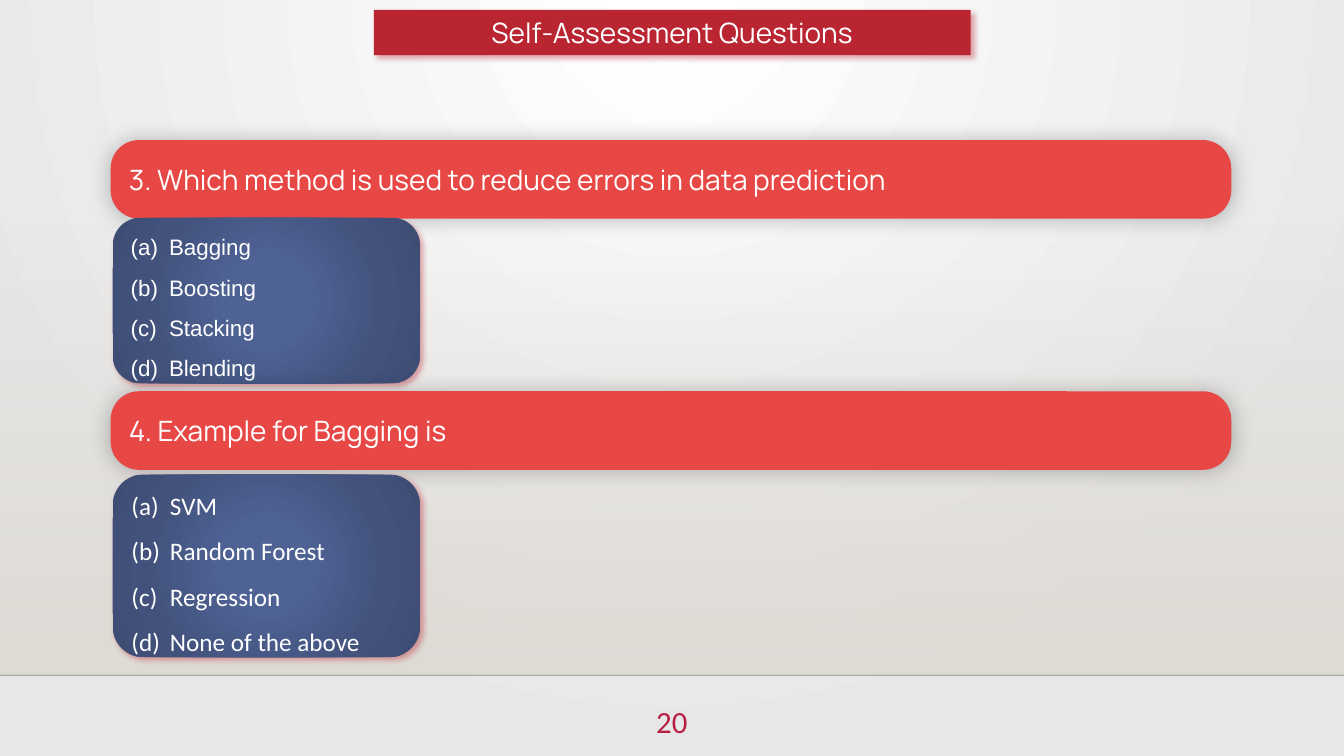
from pptx import Presentation, util as u
from pptx.dml import color
from pptx.enum import shapes, text
from pptx.oxml import parse_xml, ns

NS = ns.nsdecls("a", "p")
CRIMSON, CORAL, WHITE = "BA2532", "E84845", "FFFFFF"
NAVY = [(0, "4E6294", 100), (23, "4E6294", 100), (69, "42527C", 100), (97, "3E4D74", 100)]
MIDDLE = 'l="50000" t="50000" r="50000" b="50000"'
ROUND = shapes.MSO_SHAPE.ROUNDED_RECTANGLE
LEFT, CENTER = text.PP_ALIGN.LEFT, text.PP_ALIGN.CENTER


def rgb(value):
    return color.RGBColor.from_string(value)


def tint(value, alpha):
    return f'<a:srgbClr val="{value}"><a:alpha val="{alpha * 1000}"/></a:srgbClr>'


def blend(stops, focus=None):
    """Gradient XML: circular around focus, or top to bottom without one."""
    marks = "".join(f'<a:gs pos="{at * 1000}">{tint(value, alpha)}</a:gs>'
                    for at, value, alpha in stops)
    way = (f'<a:path path="circle"><a:fillToRect {focus}/></a:path>' if focus
           else '<a:lin ang="5400000" scaled="0"/>')
    return f'<a:gradFill {NS} rotWithShape="1"><a:gsLst>{marks}</a:gsLst>{way}</a:gradFill>'


def place(shape, box):
    shape.left, shape.top, shape.width, shape.height = (u.Cm(n) for n in box)


def paint(shape, fill, focus=None):
    """Fill with a hex colour or with gradient stops, without an outline."""
    shape.line.fill.background()
    if isinstance(fill, str):
        shape.fill.solid()
        shape.fill.fore_color.rgb = rgb(fill)
    else:
        shape.fill.background()
        props = shape.element.spPr
        props.replace(props.find(ns.qn("a:noFill")), parse_xml(blend(fill, focus)))


def shade(shape, value, alpha, blur, dist, angle):
    props = shape.element.spPr
    for old in props.findall(ns.qn("a:effectLst")):
        props.remove(old)
    props.append(parse_xml(
        f'<a:effectLst {NS}><a:outerShdw blurRad="{u.Pt(blur)}" dist="{u.Pt(dist)}" '
        f'dir="{angle * 60000}" algn="ctr" rotWithShape="0">{tint(value, alpha)}'
        '</a:outerShdw></a:effectLst>'))


def write(shape, lines, font, size, value=WHITE, align=LEFT, listed=False):
    frame = shape.text_frame
    frame.word_wrap = True
    frame.auto_size = text.MSO_AUTO_SIZE.NONE
    frame.vertical_anchor = text.MSO_ANCHOR.MIDDLE
    for i, line in enumerate(lines):
        para = frame.add_paragraph() if i else frame.paragraphs[0]
        para.alignment = align
        run = para.add_run()
        run.text = line
        run.font.name, run.font.size = font, u.Pt(size)
        run.font.color.rgb = rgb(value)
        if listed:
            para.line_spacing = 1.5
            props = para._p.get_or_add_pPr()
            props.set("marL", str(u.Cm(0.97)))
            props.set("indent", str(u.Cm(-0.97)))
            props.append(parse_xml(f'<a:buFont {NS} typeface="+mj-lt"/>'))
            props.append(parse_xml(f'<a:buAutoNum {NS} type="alphaLcParenBoth"/>'))


def block(slide, kind, box):
    shape = slide.shapes.add_shape(kind, *(u.Cm(n) for n in box))
    shape.shadow.inherit = False
    return shape


def stage(slide):
    """Background, lower glow and the rule above the footer."""
    focus = 'l="43000" t="0" r="43000" b="100000"'
    fill = blend([(0, WHITE, 100), (100, "E7E7E7", 100)], focus)
    slide.element.cSld.insert(0, parse_xml(
        f'<p:bg {NS}><p:bgPr>{fill}<a:effectLst/></p:bgPr></p:bg>'))
    glow = block(slide, shapes.MSO_SHAPE.RECTANGLE, (0, 5.61, 33.87, 11.41))
    paint(glow, [(0, "DFDBD5", 0), (100, "DFDBD5", 100)])
    rule = slide.shapes.add_connector(shapes.MSO_CONNECTOR.STRAIGHT,
                                      0, u.Cm(17.02), u.Cm(33.87), u.Cm(17.02))
    rule.line.width = u.Pt(1)
    rule.line.color.rgb = rgb("000001")
    hue = rule.element.spPr.find(".//" + ns.qn("a:srgbClr"))
    hue.append(parse_xml(f'<a:alpha {NS} val="20000"/>'))
    rule.element.spPr.append(parse_xml(f'<a:effectLst {NS}/>'))


def head(slide, line):
    title = slide.shapes.title
    place(title, (9.42, 0.25, 15.04, 1.14))
    title.element.spPr.append(parse_xml(
        f'<a:prstGeom {NS} prst="roundRect"><a:avLst/></a:prstGeom>'))
    paint(title, CRIMSON)
    shade(title, CRIMSON, 40, 4, 3, 45)
    write(title, [line], "Manrope", 20, align=CENTER)


def ask(slide, top, line):
    bar = block(slide, ROUND, (2.79, top, 28.24, 1.98))
    bar.adjustments[0] = 0.36
    paint(bar, CORAL)
    shade(bar, "000000", 25, 15, 0, 0)
    write(bar, [line], "Manrope", 20)


def offer(slide, top, height, lines, font, size):
    card = block(slide, ROUND, (2.84, top, 7.75, height))
    paint(card, NAVY, MIDDLE)
    shade(card, CRIMSON, 40, 4, 3, 45)
    write(card, lines, font, size, listed=True)


def main():
    deck = Presentation()
    deck.slide_width, deck.slide_height = u.Cm(33.87), u.Cm(19.05)
    slide = deck.slides.add_slide(deck.slide_layouts[5])
    stage(slide)
    head(slide, "Self-Assessment Questions")
    ask(slide, 3.53, "3. Which method is used to reduce errors in data prediction")
    offer(slide, 5.49, 4.17, ["Bagging", "Boosting", "Stacking", "Blending"], "Arial", 16)
    ask(slide, 9.86, "4. Example for Bagging is")
    offer(slide, 11.96, 4.6, ["SVM", "Random Forest", "Regression", "None of the above"],
          "Calibri", 18)
    page = slide.shapes.add_textbox(*(u.Cm(n) for n in (15.8, 17.48, 2.26, 1.4)))
    write(page, ["20"], "Calibri", 22, "B71E42", CENTER)
    deck.save("out.pptx")


if __name__ == "__main__":
    main()
